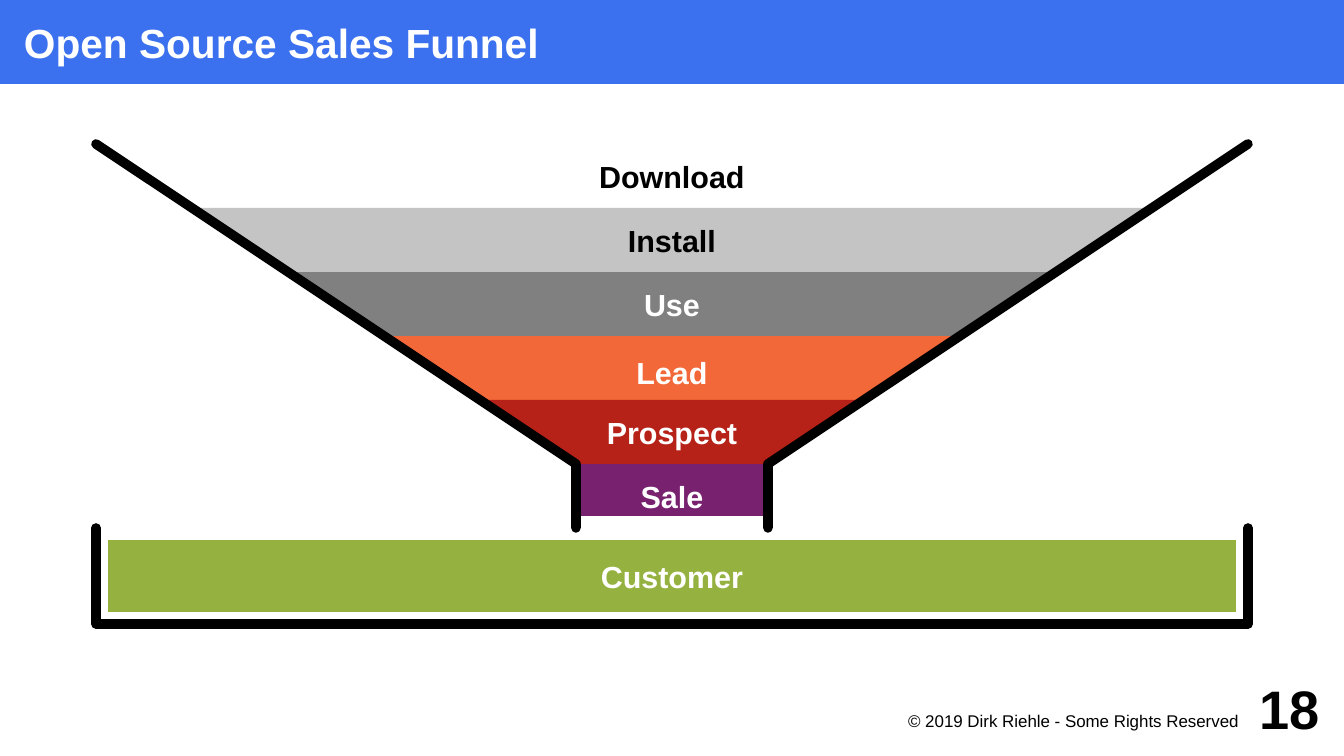
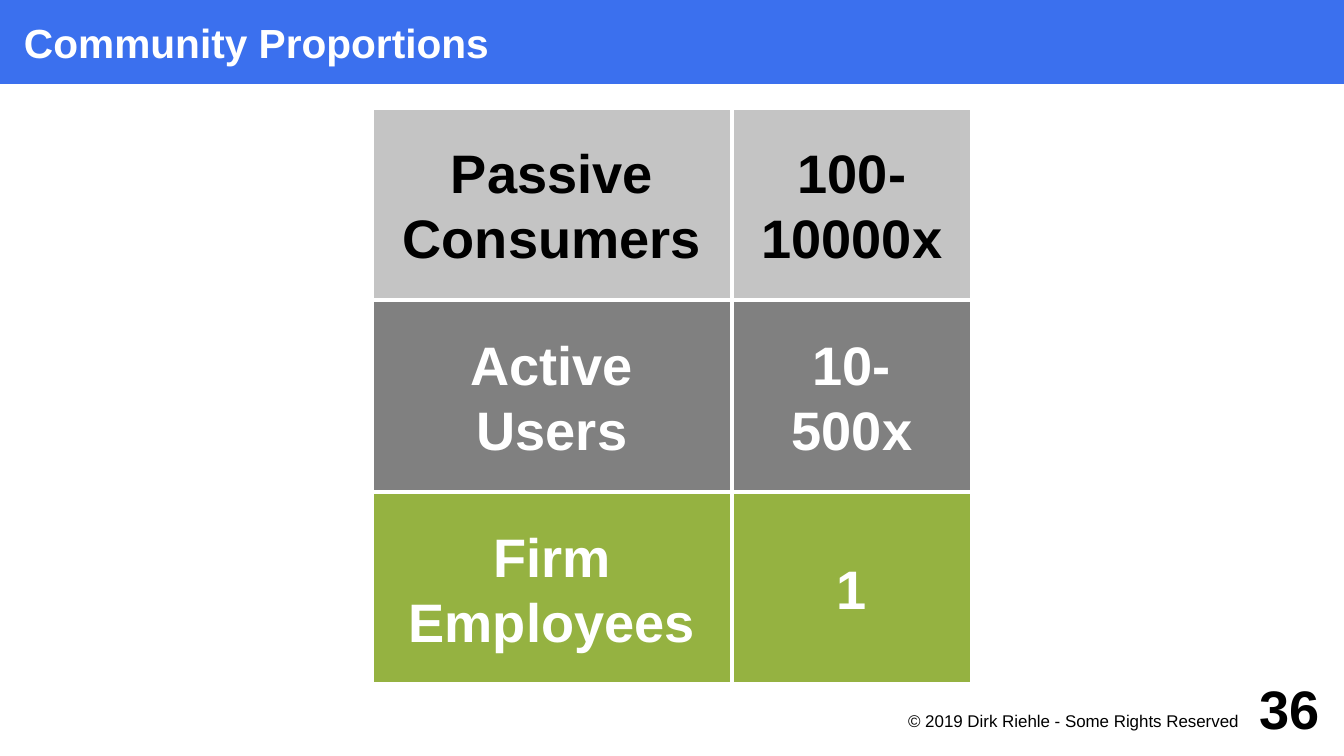
from dataclasses import dataclass
from typing import Optional

import pptx
import pptx.dml.color
import pptx.enum.shapes
import pptx.enum.text
import pptx.util
from lxml import etree

# Shared look: the slide is a grid of 28 columns by 15.75 rows, one centimetre each
COLUMNS, ROWS = 28, 15.75
FONT = "Arial"
COPYRIGHT = "© 2019 Dirk Riehle - Some Rights Reserved"
COLORS = {
    "band": "3B70EE", "white": "FFFFFF", "black": "000000",
    "light": "C4C4C4", "gray": "808080", "orange": "F36838",
    "red": "B62118", "purple": "77216F", "green": "95B241",
}
Align = pptx.enum.text.PP_ALIGN
Anchor = pptx.enum.text.MSO_ANCHOR
Point = tuple[float, float]


@dataclass
class Box:
    left: float
    top: float
    width: float
    height: float

    def emu(self) -> list[int]:
        return [cm(v) for v in (self.left, self.top, self.width, self.height)]


@dataclass
class Style:
    size: float
    color: str = "white"
    bold: bool = True
    align: Align = Align.CENTER
    anchor: Anchor = Anchor.MIDDLE
    insets: tuple[float, float, float, float] = (0, 0, 0, 0)
    wrap: bool = True


@dataclass
class Stage:
    label: str
    fill: str
    color: str = "white"
    extra_top: float = 0


@dataclass
class Group:
    name: str
    ratio: str
    fill: str
    color: str = "white"


STAGES = [
    Stage("Download", "white", "black"),
    Stage("Install", "light", "black"),
    Stage("Use", "gray"),
    Stage("Lead", "orange", extra_top=0.18),
    Stage("Prospect", "red"),
    Stage("Sale", "purple"),
]
GROUPS = [
    Group("Passive\vConsumers", "100-\v10000x", "light", "black"),
    Group("Active\vUsers", "10-\v500x", "gray"),
    Group("Firm\nEmployees", "1", "green"),
]


def cm(length: float) -> int:
    return int(pptx.util.Cm(length))


def rgb(name: str) -> pptx.dml.color.RGBColor:
    return pptx.dml.color.RGBColor.from_string(COLORS[name])


def write(shape, text: str, style: Style) -> None:
    frame = shape.text_frame
    frame.text = text
    frame.auto_size = pptx.enum.text.MSO_AUTO_SIZE.NONE
    frame.word_wrap = style.wrap
    frame.vertical_anchor = style.anchor
    (frame.margin_left, frame.margin_top,
     frame.margin_right, frame.margin_bottom) = map(cm, style.insets)
    for paragraph in frame.paragraphs:
        paragraph.alignment = style.align
        for run in paragraph.runs:
            run.font.name = FONT
            run.font.size = pptx.util.Pt(style.size)
            run.font.bold = style.bold
            run.font.color.rgb = rgb(style.color)


def paint(shape, fill: Optional[str], line: Optional[str] = None,
          width: float = 0) -> None:
    shape.shadow.inherit = False
    if fill:
        shape.fill.solid()
        shape.fill.fore_color.rgb = rgb(fill)
    else:
        shape.fill.background()
    if line:
        shape.line.color.rgb = rgb(line)
        shape.line.width = pptx.util.Pt(width)
    else:
        shape.line.fill.background()


def add_block(slide, box: Box, fill: str, text: str, style: Style,
              line_width: float = 0) -> None:
    block = slide.shapes.add_shape(
        pptx.enum.shapes.MSO_SHAPE.RECTANGLE, *box.emu())
    paint(block, fill, "white" if line_width else None, line_width)
    write(block, text, style)


def add_outline(slide, points: list[Point], closed: bool = False):
    start, *rest = [(cm(x), cm(y)) for x, y in points]
    builder = slide.shapes.build_freeform(*start)
    builder.add_line_segments(rest, close=closed)
    return builder.convert_to_shape()


def add_wall(slide, points: list[Point]) -> None:
    """Thick black line with round ends and corners."""
    wall = add_outline(slide, points)
    paint(wall, None, "black", 5.67)
    stroke = wall.line.fill._xPr
    stroke.set("cap", "rnd")
    etree.SubElement(stroke, pptx.oxml.ns.qn("a:round"))


def add_label(slide, box: Box, text: str, style: Style) -> None:
    write(slide.shapes.add_textbox(*box.emu()), text, style)


def new_slide(deck, heading: str, number: int):
    """Slide with title band, copyright line and page number."""
    slide = deck.slides.add_slide(deck.slide_layouts.get_by_name("Title Only"))
    title = slide.shapes.title
    title.left, title.top, title.width, title.height = Box(
        0, 0, COLUMNS, ROWS / 9).emu()
    title.fill.solid()
    title.fill.fore_color.rgb = rgb("band")
    write(title, heading, Style(24, align=Align.LEFT, insets=(0.5, 0, 0, 0)))
    return slide


def add_footer(slide, number: int) -> None:
    add_label(slide, Box(18, 14.75, 8, 0.75), COPYRIGHT,
              Style(10, "black", False, Align.RIGHT, Anchor.TOP,
                    (0, 0.05, 0.2, 0)))
    add_label(slide, Box(25.5, 14, 2, 1.5), str(number),
              Style(32, "black", align=Align.RIGHT))


def build_funnel(deck) -> None:
    slide = new_slide(deck, "Open Source Sales Funnel", 18)
    left, top, right, bottom = 2, 3, COLUMNS - 2, 11
    row = (bottom - top) / len(STAGES)
    tray_bottom = bottom + 2

    # Stages, one row each
    for index, stage in enumerate(STAGES):
        add_block(slide, Box(left, top + index * row, right - left, row),
                  stage.fill, stage.label,
                  Style(18, stage.color,
                        insets=(0.2, 0.2 + stage.extra_top, 0.2, 0.2)))
    add_block(slide, Box(left, bottom, right - left, tray_bottom - bottom),
              "green", "Customer", Style(18), 14.17)

    # White corners cut the rows to the funnel, then the walls
    neck = bottom - row
    sides = [(left, 12), (right, 16)]
    for outer, inner in sides:
        corner = add_outline(slide, [(inner, bottom), (outer, bottom),
                                     (outer, top), (inner, neck)], True)
        paint(corner, "white", "white", 2.83)
    for outer, inner in sides:
        add_wall(slide, [(outer, top), (inner, neck), (inner, bottom)])

    # Tray
    add_wall(slide, [(left, bottom), (left, tray_bottom),
                     (right, tray_bottom), (right, bottom)])
    add_footer(slide, 18)


def build_proportions(deck) -> None:
    slide = new_slide(deck, "Community Proportions", 36)
    name_width, ratio_width, row = 7.5, 5, 4
    left, top = (COLUMNS - name_width - ratio_width) / 2, 2.25
    for index, group in enumerate(GROUPS):
        style = Style(32, group.color, insets=(0.27,) * 4, wrap=False)
        y = top + index * row
        add_block(slide, Box(left, y, name_width, row),
                  group.fill, group.name, style, 2.83)
        add_block(slide, Box(left + name_width, y, ratio_width, row),
                  group.fill, group.ratio, style, 2.83)
    add_footer(slide, 36)


def main() -> None:
    deck = pptx.Presentation()
    deck.slide_width, deck.slide_height = cm(COLUMNS), cm(ROWS)
    build_funnel(deck)
    build_proportions(deck)
    deck.save("out.pptx")


if __name__ == "__main__":
    main()
